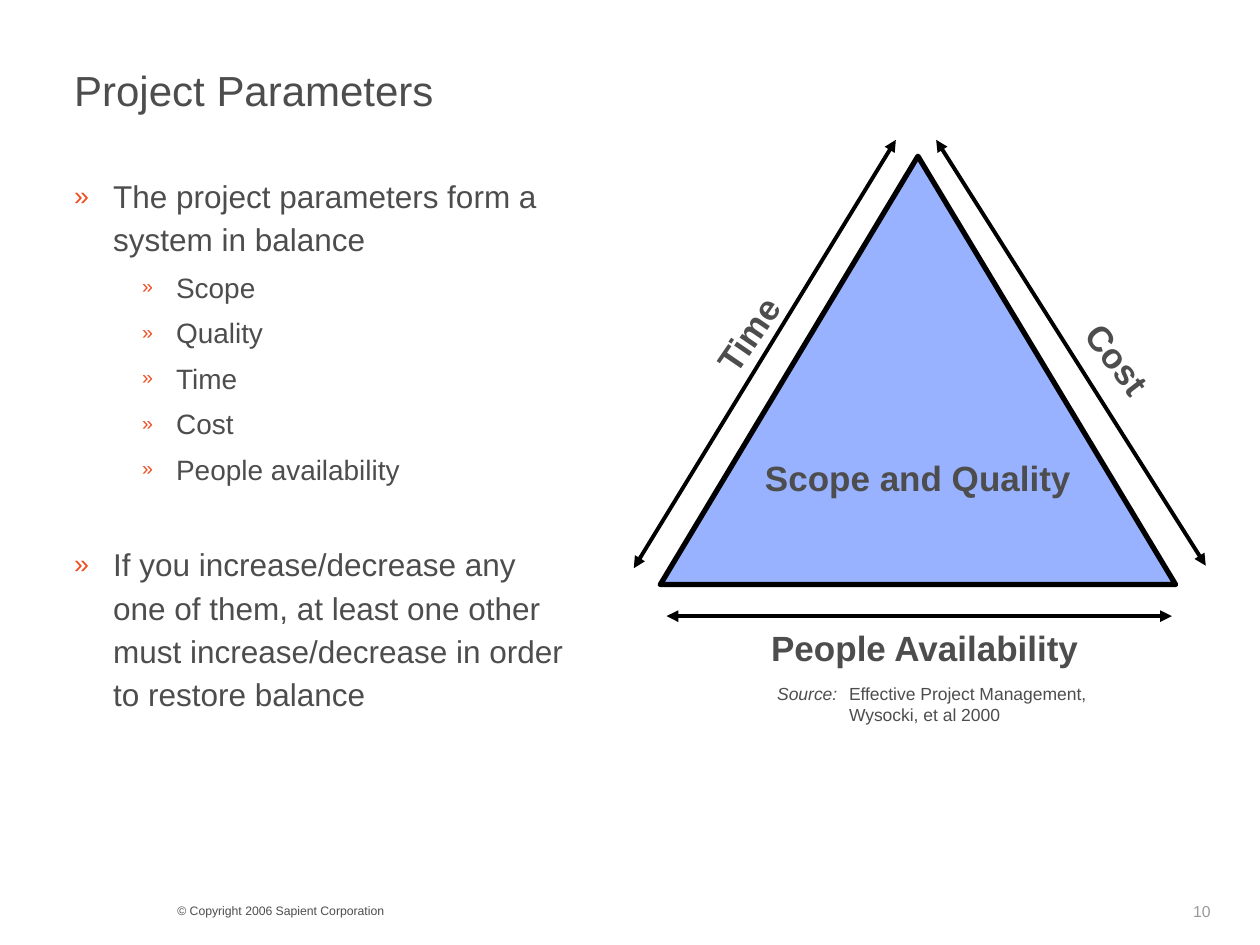
from dataclasses import dataclass

import pptx
import pptx.dml.color
import pptx.enum.shapes
import pptx.enum.text
import pptx.oxml
import pptx.oxml.ns
import pptx.util
from lxml import etree
from pptx.util import Inches

ALIGN = pptx.enum.text.PP_ALIGN
ANCHOR = pptx.enum.text.MSO_ANCHOR


@dataclass(frozen=True)
class Theme:
    font: str = "Arial"
    text: str = "4D4D4D"
    muted: str = "999999"
    accent: str = "F04E22"
    triangle: str = "3366FF"
    ink: str = "000000"
    title_size: float = 24
    label_size: float = 20
    body_size: float = 18
    item_size: float = 16
    source_size: float = 10
    number_size: float = 9
    footer_size: float = 7


@dataclass(frozen=True)
class BulletLevel:
    text_size: float
    bullet_percent: int
    left: float
    hanging: float
    space_before: float


def color(value):
    return pptx.dml.color.RGBColor.from_string(value)


def add_xml(parent, tag, **attributes):
    return etree.SubElement(parent, pptx.oxml.ns.qn(tag), **attributes)


class SlideBuilder:
    def __init__(self, slide, theme):
        self.slide = slide
        self.theme = theme

    def add_run(self, paragraph, text, size, ink=None, bold=False, italic=False):
        run = paragraph.add_run()
        run.text = text
        font = run.font
        font.name = self.theme.font
        font.size = pptx.util.Pt(size)
        font.bold = bold
        font.italic = italic
        font.color.rgb = color(ink or self.theme.text)

    def text_box(self, left, top, width, height, wrap=True, anchor=ANCHOR.TOP):
        box = self.slide.shapes.add_textbox(
            Inches(left), Inches(top), Inches(width), Inches(height))
        box.text_frame.word_wrap = wrap
        box.text_frame.vertical_anchor = anchor
        return box

    def line_of_text(self, text, place, size, ink=None, **options):
        box = self.text_box(*place, **options)
        self.add_run(box.text_frame.paragraphs[0], text, size, ink)

    def label(self, text, place, rotation=0, wrap=True):
        """Bold centred label, optionally turned along an arrow."""
        box = self.text_box(*place, wrap=wrap, anchor=ANCHOR.MIDDLE)
        box.rotation = rotation
        self.centred_bold(box.text_frame, text)

    def centred_bold(self, text_frame, text):
        paragraph = text_frame.paragraphs[0]
        paragraph.alignment = ALIGN.CENTER
        self.add_run(paragraph, text, self.theme.label_size, bold=True)

    def bullet_list(self, place, items):
        """Items are (text, level, extra space before in points)."""
        text_frame = self.text_box(*place).text_frame
        for index, (text, level, gap) in enumerate(items):
            paragraph = text_frame.add_paragraph() if index else text_frame.paragraphs[0]
            paragraph.line_spacing = 1.15
            paragraph.space_before = pptx.util.Pt(level.space_before + gap if index else 0)
            properties = paragraph._p.get_or_add_pPr()
            properties.set("marL", str(Inches(level.left)))
            properties.set("indent", str(-Inches(level.hanging)))
            bullet_color = add_xml(properties, "a:buClr")
            add_xml(bullet_color, "a:srgbClr", val=self.theme.accent)
            add_xml(properties, "a:buSzPct", val=str(level.bullet_percent * 1000))
            add_xml(properties, "a:buFont", typeface=self.theme.font)
            add_xml(properties, "a:buChar", char="»")
            self.add_run(paragraph, text, level.text_size)

    def source_note(self, place, tab, lines):
        """Lines are (italic lead, text); the texts align at one tab stop."""
        text_frame = self.text_box(*place, wrap=False).text_frame
        for index, (lead, text) in enumerate(lines):
            paragraph = text_frame.add_paragraph() if index else text_frame.paragraphs[0]
            tabs = add_xml(paragraph._p.get_or_add_pPr(), "a:tabLst")
            add_xml(tabs, "a:tab", pos=str(Inches(tab)), algn="l")
            if lead:
                self.add_run(paragraph, lead, self.theme.source_size, italic=True)
            self.add_run(paragraph, "\t" + text, self.theme.source_size)

    def triangle(self, text, left, top, width, height):
        shape = self.slide.shapes.add_shape(
            pptx.enum.shapes.MSO_SHAPE.FLOWCHART_EXTRACT,
            Inches(left), Inches(top), Inches(width), Inches(height))
        shape.shadow.inherit = False
        shape.fill.solid()
        shape.fill.fore_color.rgb = color(self.theme.triangle)
        fill_color = shape.fill._xPr.find(".//" + pptx.oxml.ns.qn("a:srgbClr"))
        add_xml(fill_color, "a:alpha", val="50000")
        shape.line.color.rgb = color(self.theme.ink)
        shape.line.width = pptx.util.Pt(3)
        shape.text_frame.word_wrap = False
        shape.text_frame.vertical_anchor = ANCHOR.MIDDLE
        self.centred_bold(shape.text_frame, text)

    def double_arrow(self, start, end):
        connector = self.slide.shapes.add_connector(
            pptx.enum.shapes.MSO_CONNECTOR.STRAIGHT,
            *(Inches(value) for value in (*start, *end)))
        connector.line.color.rgb = color(self.theme.ink)
        connector.line.width = pptx.util.Pt(2.25)
        line = connector.line._get_or_add_ln()
        for tag in ("a:headEnd", "a:tailEnd"):
            add_xml(line, tag, type="triangle")
        add_xml(connector._element.spPr, "a:effectLst")


def main():
    presentation = pptx.Presentation()
    presentation.slide_width = Inches(10)
    presentation.slide_height = Inches(7.5)
    slide = presentation.slides.add_slide(presentation.slide_layouts[6])
    theme = Theme()
    builder = SlideBuilder(slide, theme)

    builder.line_of_text("© Copyright 2006 Sapient Corporation",
                         (1.31, 7.12, 4, 0.22), theme.footer_size)
    builder.line_of_text("10", (9.37, 7.11, 0.75, 0.24), theme.number_size,
                         theme.muted, wrap=False)
    builder.line_of_text("Project Parameters", (0.49, 0.44, 9.01, 0.55),
                         theme.title_size, anchor=ANCHOR.MIDDLE)

    point = BulletLevel(theme.body_size, 85, 0.31, 0.31, 4.5)
    item = BulletLevel(theme.item_size, 70, 0.81, 0.27, 4)
    parameters = ("Scope", "Quality", "Time", "Cost", "People availability")
    builder.bullet_list((0.49, 1.31, 4.14, 5.89), [
        ("The project parameters form a system in balance", point, 0),
        *((name, item, 0) for name in parameters),
        ("If you increase/decrease any one of them, at least one other must "
         "increase/decrease in order to restore balance", point, 26),
    ])

    builder.source_note((6.07, 5.37, 2.67, 0.44), 0.57, [
        ("Source:", "Effective Project Management,"),
        ("", "Wysocki, et al 2000"),
    ])

    builder.triangle("Scope and Quality", 5.24, 1.24, 4.09, 3.4)
    for start, end in (
        ((5.03, 4.51), (7.11, 1.11)),
        ((7.43, 1.11), (9.57, 4.49)),
        ((5.29, 4.89), (9.3, 4.89)),
    ):
        builder.double_arrow(start, end)
    builder.label("Time", (5.46, 2.43, 0.95, 0.44), rotation=304.4)
    builder.label("Cost", (8.4, 2.63, 0.94, 0.44), rotation=52.6)
    builder.label("People Availability", (6.01, 4.92, 2.66, 0.44), wrap=False)

    presentation.save("out.pptx")


if __name__ == "__main__":
    main()
